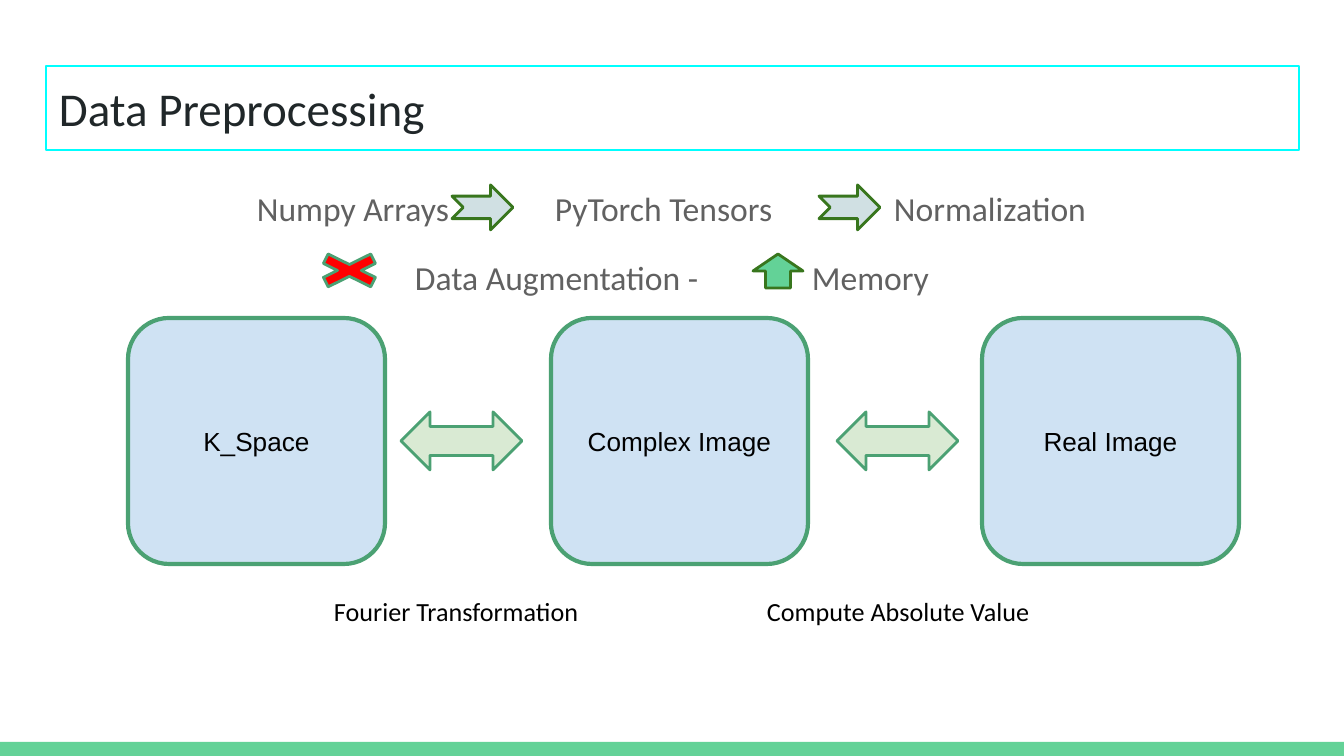
from dataclasses import dataclass

from lxml import etree
from pptx import Presentation
from pptx.dml.color import RGBColor
from pptx.enum.shapes import MSO_SHAPE
from pptx.enum.text import MSO_ANCHOR, MSO_AUTO_SIZE, PP_ALIGN
from pptx.oxml.ns import qn
from pptx.slide import Slide
from pptx.text.text import TextFrame
from pptx.util import Pt

EMU_PER_PX = 914400 / 134.4
INSET = 13

BAR = ROUNDED = NOTCHED = DOUBLE = CROSS = UP = None
BAR = MSO_SHAPE.RECTANGLE
ROUNDED = MSO_SHAPE.ROUNDED_RECTANGLE
NOTCHED = MSO_SHAPE.NOTCHED_RIGHT_ARROW
DOUBLE = MSO_SHAPE.LEFT_RIGHT_ARROW
CROSS = MSO_SHAPE.MATH_MULTIPLY
UP = MSO_SHAPE.UP_ARROW
TOP, MIDDLE = MSO_ANCHOR.TOP, MSO_ANCHOR.MIDDLE
LEFT, CENTER = PP_ALIGN.LEFT, PP_ALIGN.CENTER

GREEN = RGBColor(0x63, 0xD2, 0x97)
MID_GREEN = RGBColor(0x4B, 0xA1, 0x73)
DARK_GREEN = RGBColor(0x38, 0x76, 0x1D)
PALE_GREEN = RGBColor(0xD9, 0xEA, 0xD3)
PALE_TEAL = RGBColor(0xD0, 0xE0, 0xE3)
PALE_BLUE = RGBColor(0xCF, 0xE2, 0xF3)
CYAN = RGBColor(0x00, 0xFF, 0xFF)
RED = RGBColor(0xFF, 0x00, 0x00)
INK = RGBColor(0x20, 0x27, 0x29)
GREY = RGBColor(0x61, 0x61, 0x61)
BLACK = RGBColor(0x00, 0x00, 0x00)


@dataclass(frozen=True)
class Box:
    left: int
    top: int
    width: int
    height: int

    def emu(self) -> tuple[int, int, int, int]:
        return px(self.left), px(self.top), px(self.width), px(self.height)


@dataclass(frozen=True)
class Figure:
    kind: MSO_SHAPE
    box: Box
    fill: RGBColor
    line: RGBColor | None = None
    weight: float = 1.5
    text: str = ""


@dataclass(frozen=True)
class Step:
    text: str
    left: int


TITLE_BOX = Box(46, 66, 1253, 84)
BODY_BOX = Box(46, 169, 1253, 503)

STEP_ROWS = [
    [Step("Numpy Arrays", 257), Step("PyTorch Tensors", 555), Step("Normalization", 894)],
    [Step("Data Augmentation -", 415), Step("Memory", 812)],
]
STAGES = [("K_Space", 128), ("Real Image", 982), ("Complex Image", 551)]
CAPTIONS = [
    ("Fourier Transformation", Box(321, 582, 289, 59)),
    ("Compute Absolute Value", Box(754, 582, 327, 59)),
]
FIGURES = [
    *(Figure(NOTCHED, Box(left, 185, 61, 45), PALE_TEAL, DARK_GREEN) for left in (452, 819)),
    *(Figure(ROUNDED, Box(left, 318, 257, 246), PALE_BLUE, MID_GREEN, 2.25, name)
      for name, left in STAGES),
    *(Figure(DOUBLE, Box(left, 412, 121, 58), PALE_GREEN, MID_GREEN) for left in (401, 837)),
    Figure(CROSS, Box(304, 248, 91, 45), RED, MID_GREEN),
    Figure(UP, Box(753, 254, 50, 34), GREEN, DARK_GREEN),
]


def px(length: int) -> int:
    return round(length * EMU_PER_PX)


def write(frame: TextFrame, *lines: str, size: float, color: RGBColor, font: str = "Calibri",
          align: PP_ALIGN = LEFT, anchor: MSO_ANCHOR = TOP, spacing: float = 1.0,
          gap: float = 0) -> None:
    """Fill the frame with one paragraph per line, with gap points between them."""
    frame.word_wrap = True
    frame.auto_size = MSO_AUTO_SIZE.NONE
    frame.vertical_anchor = anchor
    frame.margin_left = frame.margin_right = px(INSET)
    frame.margin_top = frame.margin_bottom = px(INSET)
    for index, line in enumerate(lines):
        paragraph = frame.add_paragraph() if index else frame.paragraphs[0]
        paragraph.alignment = align
        paragraph.line_spacing = spacing
        paragraph.space_before = Pt(gap if index else 0)
        run = paragraph.add_run()
        run.text = line
        run.font.name = font
        run.font.size = Pt(size)
        run.font.color.rgb = color


def draw_figure(slide: Slide, figure: Figure) -> None:
    shape = slide.shapes.add_shape(figure.kind, *figure.box.emu())
    shape.shadow.inherit = False
    shape.fill.solid()
    shape.fill.fore_color.rgb = figure.fill
    if figure.line is None:
        shape.line.fill.background()
    else:
        shape.line.color.rgb = figure.line
        shape.line.width = Pt(figure.weight)
    if figure.text:
        write(shape.text_frame, figure.text, size=14, color=BLACK, font="Arial",
              align=CENTER, anchor=MIDDLE)


def draw_title(slide: Slide) -> None:
    title = slide.shapes.title
    title.left, title.top, title.width, title.height = TITLE_BOX.emu()
    title.line.color.rgb = CYAN
    title.line.width = Pt(0.75)
    write(title.text_frame, "Data Preprocessing", size=25.2, color=INK)


def draw_steps(slide: Slide) -> None:
    """Write the step rows, each step standing at its own tab stop."""
    frame = slide.shapes.add_textbox(*BODY_BOX.emu()).text_frame
    lines = ["".join(f"\t{step.text}" for step in row) for row in STEP_ROWS]
    write(frame, *lines, size=18, color=GREY, spacing=1.15, gap=12)
    for paragraph, row in zip(frame.paragraphs, STEP_ROWS):
        tabs = etree.SubElement(paragraph._p.get_or_add_pPr(), qn("a:tabLst"))
        for step in row:
            position = px(step.left - BODY_BOX.left - INSET)
            etree.SubElement(tabs, qn("a:tab"), pos=str(position), algn="l")


def main() -> None:
    deck = Presentation()
    deck.slide_width, deck.slide_height = px(1344), px(756)
    slide = deck.slides.add_slide(deck.slide_layouts[5])
    draw_figure(slide, Figure(BAR, Box(0, 742, 1344, 14), GREEN))
    draw_title(slide)
    draw_steps(slide)
    for figure in FIGURES:
        draw_figure(slide, figure)
    for caption, box in CAPTIONS:
        write(slide.shapes.add_textbox(*box.emu()).text_frame, caption, size=14, color=BLACK)
    deck.save("out.pptx")


if __name__ == "__main__":
    main()
